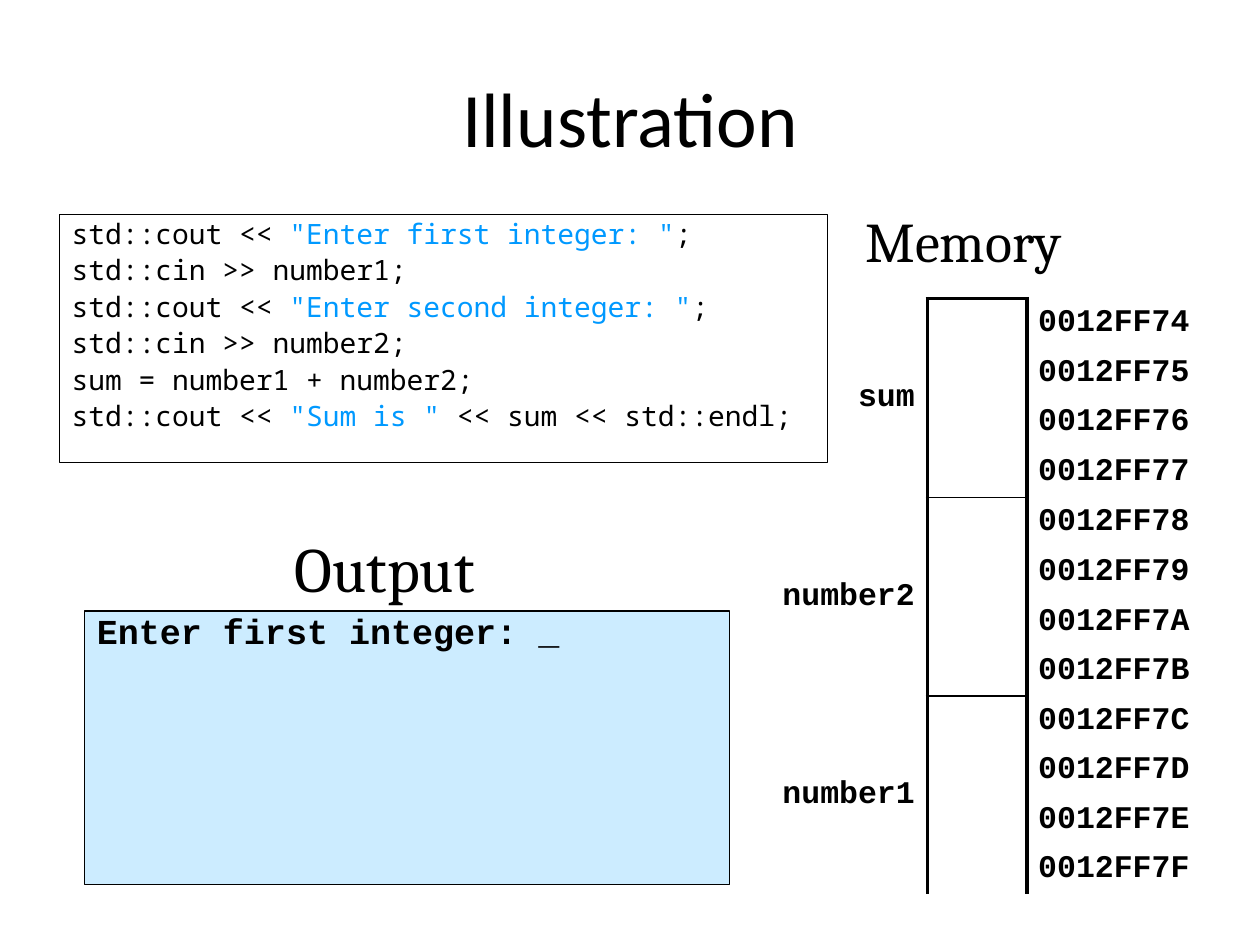
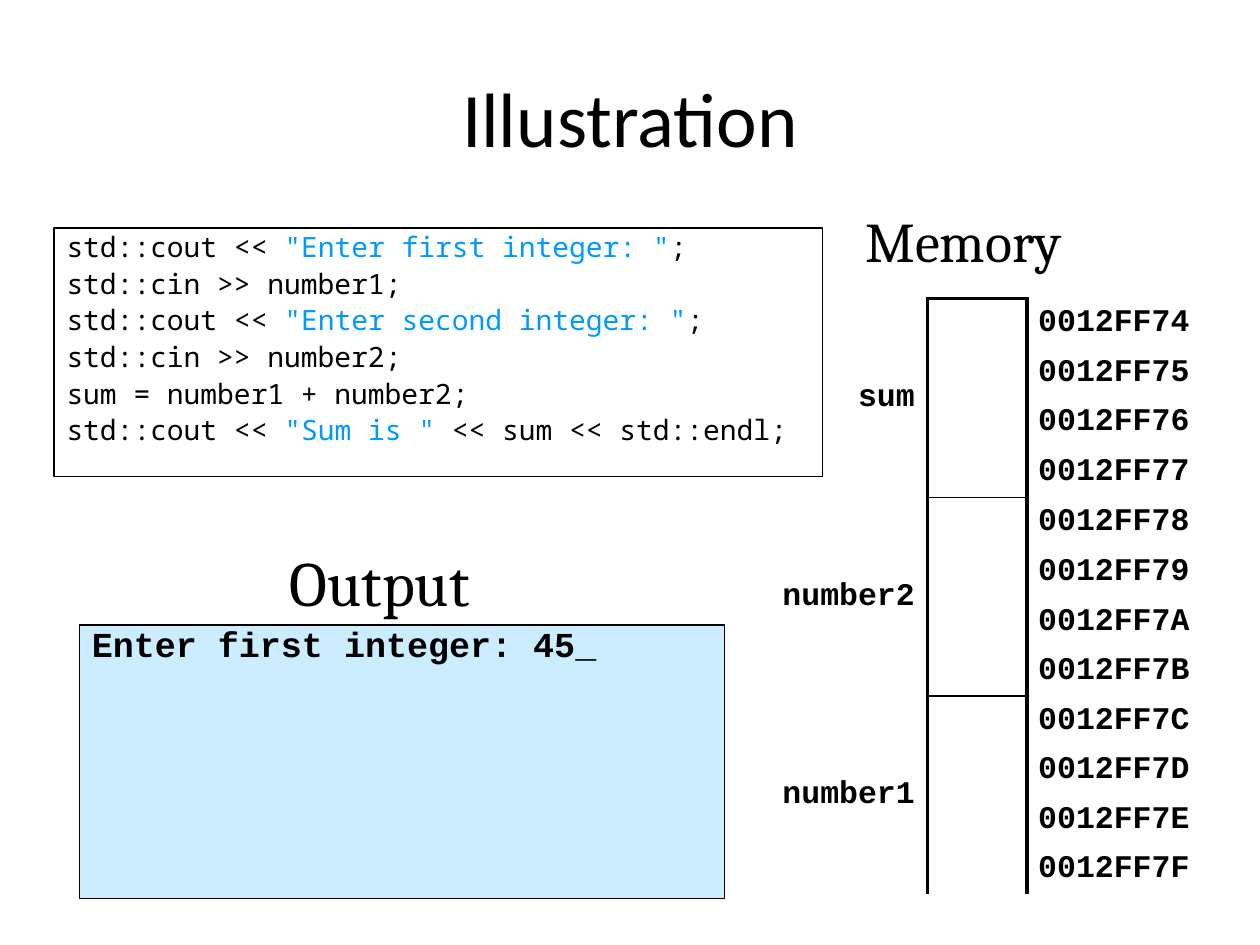
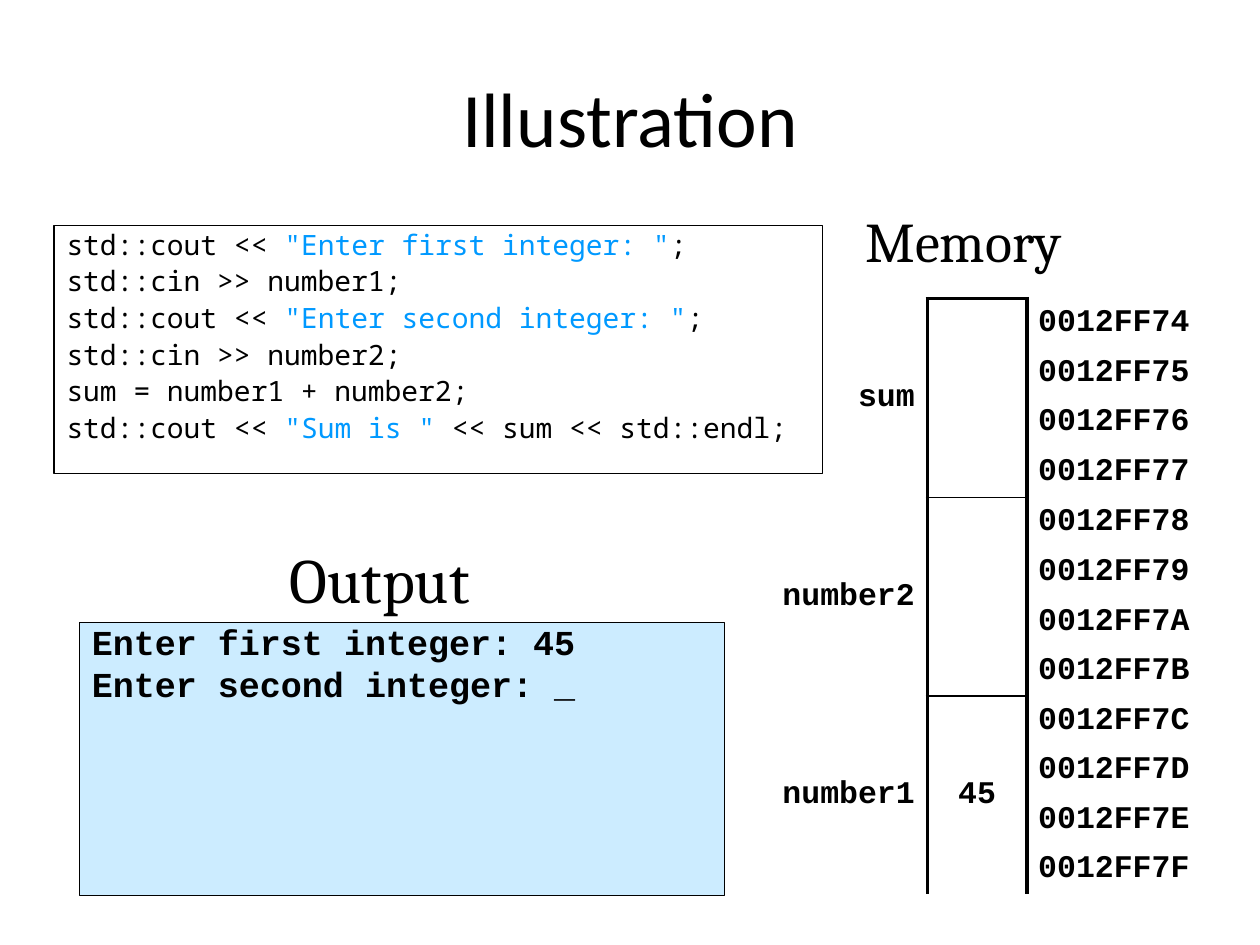
from pptx import Presentation
from pptx.dml.color import RGBColor
from pptx.enum.shapes import MSO_SHAPE
from pptx.enum.text import MSO_ANCHOR, PP_ALIGN
from pptx.oxml.ns import qn
from pptx.util import Inches, Pt
from lxml import etree

RECTANGLE = MSO_SHAPE.RECTANGLE
TOP, MIDDLE, BOTTOM = MSO_ANCHOR.TOP, MSO_ANCHOR.MIDDLE, MSO_ANCHOR.BOTTOM
LEFT, CENTER, RIGHT = PP_ALIGN.LEFT, PP_ALIGN.CENTER, PP_ALIGN.RIGHT
BLACK = RGBColor(0x00, 0x00, 0x00)
STRING_BLUE = RGBColor(0x00, 0x99, 0xFF)
SCREEN_BLUE = RGBColor(0xCC, 0xEC, 0xFF)
TITLE_FONT, HEADING_FONT = "Calibri", "Cambria"
CODE_FONT, CONSOLE_FONT = "Noto Sans Mono", "Courier New"

TITLE = "Illustration"
CODE = [
    'std::cout << "Enter first integer: ";',
    "std::cin >> number1;",
    'std::cout << "Enter second integer: ";',
    "std::cin >> number2;",
    "sum = number1 + number2;",
    'std::cout << "Sum is " << sum << std::endl;',
]
VARIABLES = ["sum", "number2", "number1"]
BYTES_PER_VARIABLE = 4
FIRST_ADDRESS = 0x0012FF74

# Left and top of the code box, console lines, values held in memory
STEPS = [
    (0.47, 1.70, ["Enter first integer: _"], {}),
    (0.43, 1.81, ["Enter first integer: 45_"], {}),
    (0.43, 1.79, ["Enter first integer: 45", "Enter second integer: _"],
     {"number1": "45"}),
]

COLUMN_WIDTHS = [1.38, 0.79, 1.38]
TABLE_LEFT, TABLE_TOP, TABLE_HEIGHT = 5.98, 2.37, 4.72
THICK, THIN, NO_LINE = 2.25, 1, 0


def add_span(para, text, font, size, color=BLACK, bold=False):
    span = para.add_run()
    span.text = text
    span.font.name, span.font.size = font, Pt(size)
    span.font.color.rgb, span.font.bold = color, bold


def add_paragraphs(frame, count, space_before, line_spacing):
    """Yield left-aligned paragraphs, spaced from the second one on."""
    for index in range(count):
        para = frame.add_paragraph() if index else frame.paragraphs[0]
        para.alignment = LEFT
        para.line_spacing = line_spacing
        if index:
            para.space_before = Pt(space_before)
        yield para


def add_heading(page, text, size, left, top, height, bottom_inset=0.05):
    box = page.shapes.add_textbox(
        Inches(left), Inches(top), Inches(1.97), Inches(height))
    frame = box.text_frame
    frame.word_wrap = True
    frame.vertical_anchor = BOTTOM
    frame.margin_bottom = Inches(bottom_inset)
    add_span(frame.paragraphs[0], text, HEADING_FONT, size)


def add_panel(page, left, top, width, height, fill=None):
    panel = page.shapes.add_shape(
        RECTANGLE, Inches(left), Inches(top), Inches(width), Inches(height))
    panel.shadow.inherit = False
    panel.line.color.rgb, panel.line.width = BLACK, Pt(0.75)
    if fill is None:
        panel.fill.background()
    else:
        panel.fill.solid()
        panel.fill.fore_color.rgb = fill
    panel.text_frame.word_wrap = True
    panel.text_frame.vertical_anchor = TOP
    return panel.text_frame


def add_code(page, left, top):
    frame = add_panel(page, left, top, 6.1, 1.97)
    for para, line in zip(add_paragraphs(frame, len(CODE), 4, 0.88), CODE):
        for index, part in enumerate(line.split('"')):
            if index % 2:
                add_span(para, f'"{part}"', CODE_FONT, 16, STRING_BLUE)
            else:
                add_span(para, part, CODE_FONT, 16)


def add_console(page, left, top, lines):
    frame = add_panel(page, left, top, 5.12, 2.17, SCREEN_BLUE)
    for para, line in zip(add_paragraphs(frame, len(lines), 5, 0.8), lines):
        add_span(para, line, CONSOLE_FONT, 20, bold=True)


def set_borders(cell, left, right, top, bottom):
    properties = cell._tc.get_or_add_tcPr()
    widths = {"a:lnL": left, "a:lnR": right, "a:lnT": top, "a:lnB": bottom}
    for tag, width in widths.items():
        line = etree.SubElement(properties, qn(tag), w=str(Pt(width)))
        if width:
            fill = etree.SubElement(line, qn("a:solidFill"))
            etree.SubElement(fill, qn("a:srgbClr"), val=str(BLACK))
        else:
            etree.SubElement(line, qn("a:noFill"))


def fill_cell(cell, text, alignment, side_inset, edge_inset):
    cell.vertical_anchor = MIDDLE
    cell.margin_left = cell.margin_right = Inches(side_inset)
    cell.margin_top = cell.margin_bottom = Inches(edge_inset)
    para = cell.text_frame.paragraphs[0]
    para.alignment = alignment
    if text:
        add_span(para, text, CONSOLE_FONT, 18, bold=True)


def add_memory(page, values):
    row_count = len(VARIABLES) * BYTES_PER_VARIABLE
    table = page.shapes.add_table(
        row_count, len(COLUMN_WIDTHS), Inches(TABLE_LEFT), Inches(TABLE_TOP),
        Inches(sum(COLUMN_WIDTHS)), Inches(TABLE_HEIGHT)).table
    table.first_row = table.horz_banding = False
    for column, width in zip(table.columns, COLUMN_WIDTHS):
        column.width = Inches(width)

    for row in range(row_count):
        table.rows[row].height = Inches(TABLE_HEIGHT / row_count)
        name_cell, value_cell, address_cell = table.rows[row].cells
        first = row % BYTES_PER_VARIABLE == 0
        last = row % BYTES_PER_VARIABLE == BYTES_PER_VARIABLE - 1
        top = THICK if row == 0 else THIN if first else NO_LINE
        bottom = THICK if row == row_count - 1 else THIN if last else NO_LINE
        set_borders(name_cell, NO_LINE, THICK, NO_LINE, NO_LINE)
        set_borders(value_cell, THICK, THICK, top, bottom)
        set_borders(address_cell, THICK, NO_LINE, NO_LINE, NO_LINE)
        for cell in (name_cell, value_cell, address_cell):
            cell.fill.background()
        fill_cell(address_cell, f"{FIRST_ADDRESS + row:08X}", CENTER, 0.08, 0.04)

    for index, name in enumerate(VARIABLES):
        first_row = index * BYTES_PER_VARIABLE
        last_row = first_row + BYTES_PER_VARIABLE - 1
        contents = [(name, RIGHT), (values.get(name, ""), CENTER)]
        for column, (text, alignment) in enumerate(contents):
            cell = table.cell(first_row, column)
            cell.merge(table.cell(last_row, column))
            fill_cell(cell, text, alignment, 0.1, 0.05)


def add_title(page):
    title = page.shapes.title
    title.left, title.top = Inches(0.5), Inches(0.3)
    title.width, title.height = Inches(9), Inches(1.25)
    title.text_frame.vertical_anchor = MIDDLE
    para = title.text_frame.paragraphs[0]
    para.alignment = CENTER
    add_span(para, TITLE, TITLE_FONT, 44)


def main():
    deck = Presentation()
    deck.slide_width, deck.slide_height = Inches(10), Inches(7.5)
    title_only = deck.slide_layouts[5]
    for left, top, console_lines, values in STEPS:
        page = deck.slides.add_slide(title_only)
        add_title(page)
        add_heading(page, "Output", 36, left + 1.77, top + 2.36, 0.79)
        add_code(page, left, top)
        add_console(page, left + 0.2, top + 3.15, console_lines)
        add_heading(page, "Memory", 32, 6.77, 1.58, 0.59, bottom_inset=0)
        add_memory(page, values)
    deck.save("out.pptx")


if __name__ == "__main__":
    main()
